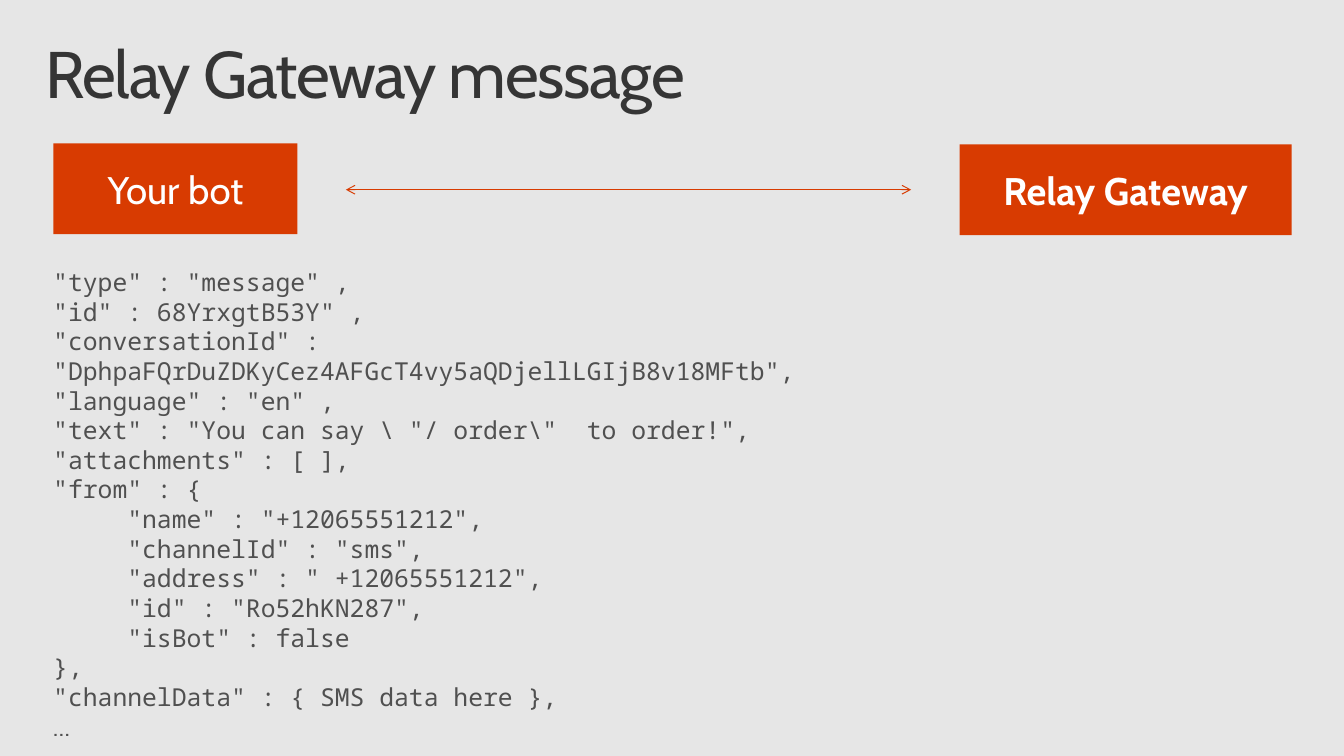
"""Build the slide that shows a Relay Gateway message as JSON."""
import pptx
import pptx.dml.color
import pptx.enum.shapes
import pptx.enum.text
import pptx.oxml
import pptx.oxml.ns
import pptx.util

EMU_PER_PX = 9144
BACKGROUND = pptx.dml.color.RGBColor(0xE6, 0xE6, 0xE6)
ORANGE = pptx.dml.color.RGBColor(0xD8, 0x3B, 0x01)
WHITE = pptx.dml.color.RGBColor(0xFF, 0xFF, 0xFF)
TITLE_GREY = pptx.dml.color.RGBColor(0x35, 0x35, 0x35)
CODE_GREY = pptx.dml.color.RGBColor(0x50, 0x50, 0x50)
BODY_FONT = "Cabin"
CODE_FONT = "Noto Sans Mono"

MESSAGE_LINES = [
    '"type" : "message" ,',
    '"id" : 68YrxgtB53Y" ,',
    '"conversationId" : "DphpaFQrDuZDKyCez4AFGcT4vy5aQDjellLGIjB8v18MFtb",',
    '"language" : "en" ,',
    '"text" : "You can say \\ "/ order\\"  to order!",',
    '"attachments" : [ ],',
    '"from" : {',
    '     "name" : "+12065551212",',
    '     "channelId" : "sms",',
    '     "address" : " +12065551212",',
    '     "id" : "Ro52hKN287",',
    '     "isBot" : false',
    '},',
    '"channelData" : { SMS data here },',
    '…',
]


def px(*lengths):
    return [pptx.util.Emu(length * EMU_PER_PX) for length in lengths]


def style(paragraph, size, color, name=BODY_FONT, bold=False):
    for run in paragraph.runs:
        run.font.size = pptx.util.Pt(size)
        run.font.name = name
        run.font.bold = bold
        run.font.color.rgb = color


def add_title(slide, text, box):
    text_frame = slide.shapes.add_textbox(*px(*box)).text_frame
    text_frame.word_wrap = True
    text_frame.margin_left, text_frame.margin_right = px(16, 16)
    text_frame.margin_top, text_frame.margin_bottom = px(10, 10)
    text_frame.text = text
    paragraph = text_frame.paragraphs[0]
    paragraph.line_spacing = 0.9
    style(paragraph, 48, TITLE_GREY)
    paragraph.runs[0]._r.get_or_add_rPr().set("spc", "-100")


def add_block(slide, text, box, bold=False):
    shape = slide.shapes.add_shape(
        pptx.enum.shapes.MSO_SHAPE.RECTANGLE, *px(*box))
    shape.shadow.inherit = False
    shape.fill.solid()
    shape.fill.fore_color.rgb = ORANGE
    shape.line.fill.background()
    text_frame = shape.text_frame
    text_frame.vertical_anchor = pptx.enum.text.MSO_ANCHOR.MIDDLE
    text_frame.text = text
    paragraph = text_frame.paragraphs[0]
    paragraph.alignment = pptx.enum.text.PP_ALIGN.CENTER
    style(paragraph, 28, WHITE, bold=bold)


def add_double_arrow(slide, ends):
    connector = slide.shapes.add_connector(
        pptx.enum.shapes.MSO_CONNECTOR.STRAIGHT, *px(*ends))
    connector.line.color.rgb = ORANGE
    connector.line.width = pptx.util.Pt(0.75)
    line = connector.line._get_or_add_ln()
    for tag in ("a:headEnd", "a:tailEnd"):
        end = pptx.oxml.parse_xml(f'<{tag} {pptx.oxml.ns.nsdecls("a")} type="arrow"/>')
        line.append(end)
    connector._element.spPr.append(
        pptx.oxml.parse_xml(f'<a:effectLst {pptx.oxml.ns.nsdecls("a")}/>'))


def add_code(slide, lines, box):
    text_frame = slide.shapes.add_textbox(*px(*box)).text_frame
    text_frame.word_wrap = True
    text_frame.text = "\n".join(lines)
    for paragraph in text_frame.paragraphs:
        name = BODY_FONT if paragraph.text == "…" else CODE_FONT
        style(paragraph, 18, CODE_GREY, name)


def main():
    presentation = pptx.Presentation()
    presentation.slide_width, presentation.slide_height = px(1360, 765)
    slide = presentation.slides.add_slide(presentation.slide_layouts[6])
    slide.background.fill.solid()
    slide.background.fill.fore_color.rgb = BACKGROUND
    add_block(slide, "Your bot", (54, 145, 247, 92))
    add_block(slide, "Relay Gateway", (971, 146, 336, 92), bold=True)
    add_double_arrow(slide, (350, 192, 922, 192))
    add_code(slide, MESSAGE_LINES, (44, 265, 949, 495))
    add_title(slide, "Relay Gateway message", (30, 32, 1300, 100))
    presentation.save("out.pptx")


if __name__ == "__main__":
    main()
